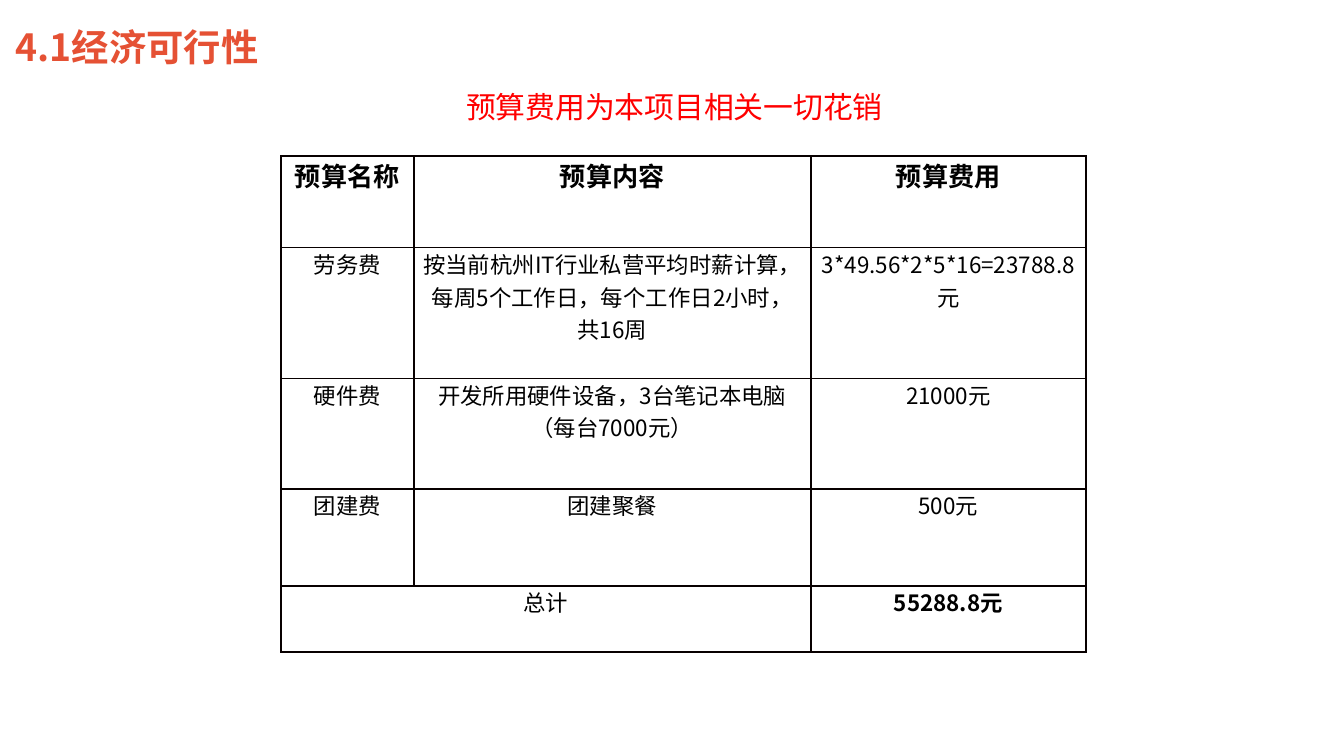
from pptx import Presentation
from pptx import util as u
from pptx.dml import color
from pptx.enum import lang, text
from pptx.oxml import ns, xmlchemy

WIDTH = u.Inches(10)
HEIGHT = u.Emu(WIDTH * 9 // 16)
FONT = "Noto Sans CJK SC"
COLUMNS = [0.99, 2.96, 2.05]
ROWS = [0.68, 0.97, 0.82, 0.72, 0.49]
BUDGET = [
    ["预算名称", "预算内容", "预算费用"],
    ["劳务费", "按当前杭州IT行业私营平均时薪计算，每周5个工作日，每个工作日2小时，共16周",
     "3*49.56*2*5*16=23788.8元"],
    ["硬件费", "开发所用硬件设备，3台笔记本电脑（每台7000元）", "21000元"],
    ["团建费", "团建聚餐", "500元"],
    ["总计", "", "55288.8元"],
]


def paint(value):
    """Turn a hex string into a colour."""
    return color.RGBColor.from_string(value)


def share(left, top, width, height):
    """Turn percentages of the slide's size into a box of lengths."""
    return [u.Emu(int(part * side / 100)) for part, side in
            zip((left, top, width, height), (WIDTH, HEIGHT) * 2)]


def add_child(parent, tag, **attributes):
    """Append a drawing element with its attributes and return it."""
    child = xmlchemy.OxmlElement(tag)
    for name, value in attributes.items():
        child.set(name, str(value))
    parent.append(child)
    return child


def write(para, words, size, shade, bold=False):
    """Add one run of Chinese text to a paragraph."""
    span = para.add_run()
    span.text = words
    span.font.size, span.font.bold, span.font.name = u.Pt(size), bold, FONT
    span.font.color.rgb = paint(shade)
    span.font.language_id = lang.MSO_LANGUAGE_ID.SIMPLIFIED_CHINESE
    latin = span.font._element.find(ns.qn("a:latin"))
    east = xmlchemy.OxmlElement("a:ea")
    east.set("typeface", FONT)
    latin.addnext(east)


def place_title(page, box):
    """Put the section heading into the title placeholder."""
    title = page.shapes.title
    title.left, title.top, title.width, title.height = box
    frame = title.text_frame
    frame.margin_left = frame.margin_right = 0
    frame.vertical_anchor = text.MSO_ANCHOR.MIDDLE
    frame.auto_size = text.MSO_AUTO_SIZE.NONE
    para = frame.paragraphs[0]
    para.alignment = text.PP_ALIGN.LEFT
    write(para, "4.1经济可行性", 20, "E55134", True)


def place_note(page, box):
    """Write the red remark above the table, indented from the left."""
    frame = page.shapes.add_textbox(*box).text_frame
    frame.word_wrap = True
    para = frame.paragraphs[0]
    para._p.get_or_add_pPr().set("marL", str(u.Inches(1.52)))
    write(para, "预算费用为本项目相关一切花销", 16, "FF0000")


def outline(cell):
    """Draw all four borders of a cell and leave it unfilled."""
    properties = cell._tc.get_or_add_tcPr()
    for side in ("a:lnL", "a:lnR", "a:lnT", "a:lnB"):
        line = add_child(properties, side, w=u.Pt(1))
        add_child(add_child(line, "a:solidFill"), "a:srgbClr", val="080000")
    cell.fill.background()


def place_budget(page, box):
    """Build the budget table with a merged total row."""
    table = page.shapes.add_table(len(ROWS), len(COLUMNS), *box).table
    table.first_row = table.horz_banding = False
    for column, part in zip(table.columns, COLUMNS):
        column.width = int(box[2] * part / sum(COLUMNS))
    for row, part in zip(table.rows, ROWS):
        row.height = int(box[3] * part / sum(ROWS))
    last = len(ROWS) - 1
    table.cell(last, 0).merge(table.cell(last, 1))
    for r, record in enumerate(BUDGET):
        for c, words in enumerate(record):
            cell = table.cell(r, c)
            outline(cell)
            cell.margin_left = cell.margin_right = u.Inches(0.07)
            cell.margin_top = cell.margin_bottom = 0
            if words:
                para = cell.text_frame.paragraphs[0]
                para.alignment = text.PP_ALIGN.CENTER
                strong = r == 0 or (r == last and c == 2)
                write(para, words, 14 if r == 0 else 12, "000000", strong)


def main():
    """Build the economic feasibility slide and save it."""
    deck = Presentation()
    deck.slide_width, deck.slide_height = WIDTH, HEIGHT
    page = deck.slides.add_slide(deck.slide_layouts[5])
    place_title(page, share(1.15, 2.4, 28.8, 7.5))
    place_note(page, share(18.5, 10.9, 55.6, 6.6))
    place_budget(page, share(20.9, 20.65, 59.9, 65.6))
    deck.save("out.pptx")


if __name__ == "__main__":
    main()
